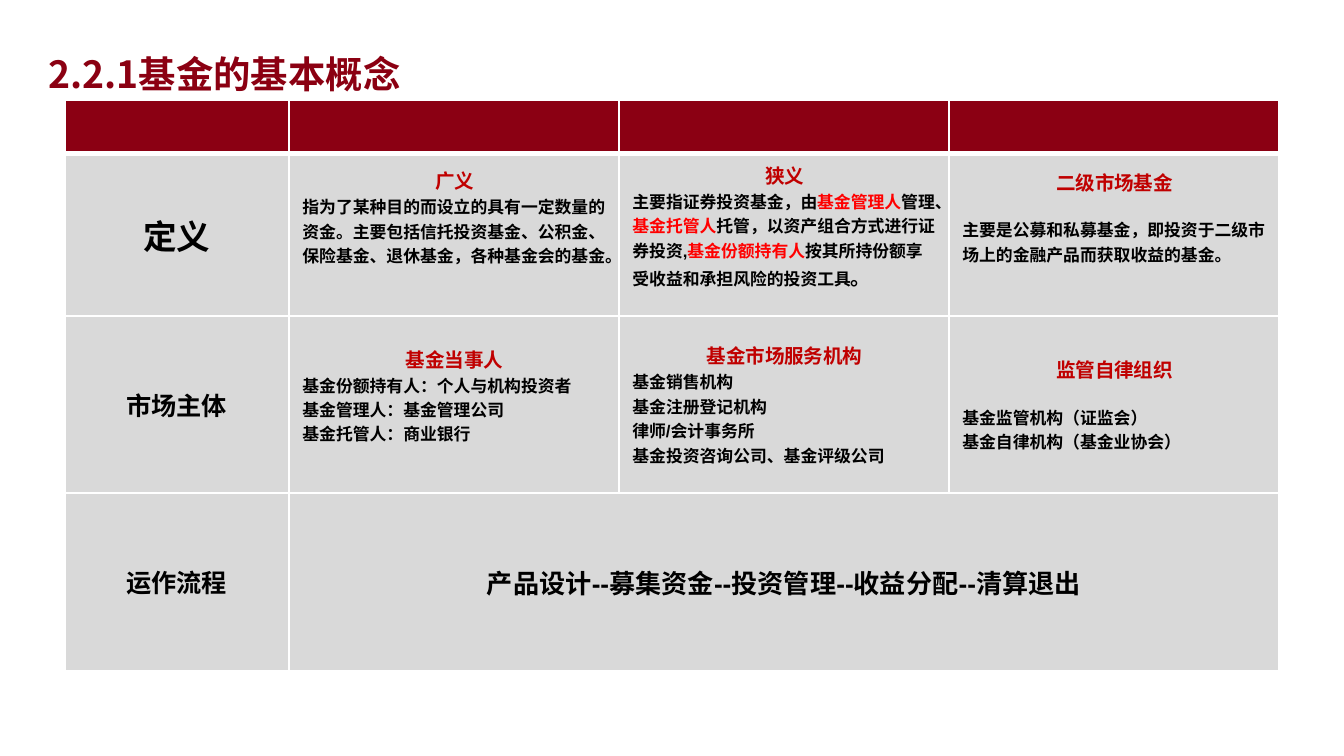
from lxml import etree
from pptx import Presentation, util as u
from pptx.dml.color import RGBColor
from pptx.enum import text as t
from pptx.oxml import ns

PX = 914400 / 134.4
WINE = RGBColor(0x8B, 0x00, 0x13)
TITLE = RGBColor(0x8B, 0x00, 0x12)
GREY = RGBColor(0xD9, 0xD9, 0xD9)
BLACK = RGBColor(0, 0, 0)
CRIMSON = RGBColor(0xC0, 0, 0)
RED = RGBColor(0xFF, 0, 0)
SANS = "Noto Sans CJK SC"

COLS = [224, 330, 330, 330]
ROWS = [53, 162, 177, 178]

# Row label, its size, then per column:
# heading, gap below it in points, bottom margin in px, lines of runs
BODY = [
    ("定义", 18, [
        ("广义", 0, 43, [[("指为了某种目的而设立的具有一定数量的资金。主要包括信托投资基金、"
                         "公积金、保险基金、退休基金，各种基金会的基金。", {})]]),
        ("狭义", 0, 24, [[("主要指证券投资基金，由", {}), ("基金管理人", {"color": RED}),
                        ("管理、", {}), ("基金托管人", {"color": RED}),
                        ("托管，以资产组合方式进行证券投资,", {}),
                        ("基金份额持有人", {"color": RED}),
                        ("按其所持份额享受收益和承担风险的投资工具", {}),
                        ("。", {"size": 11})]]),
        ("二级市场基金", 11.5, 43, [[("主要是公募和私募基金，即投资于二级市场上的金融产品而"
                                "获取收益的基金。", {})]]),
    ]),
    ("市场主体", 13.5, [
        ("基金当事人", 0, 25, [[("基金份额持有人：个人与机构投资者", {})],
                           [("基金管理人：基金管理公司", {})],
                           [("基金托管人：商业银行", {})]]),
        ("基金市场服务机构", 0, 7, [[("基金销售机构", {})],
                             [("基金注册登记机构", {})],
                             [("律师/会计事务所", {})],
                             [("基金投资咨询公司、基金评级公司", {})]]),
        ("监管自律组织", 11.5, 7, [[("基金监管机构（证监会）", {})],
                              [("基金自律机构（基金业协会）", {})]]),
    ]),
]
FLOW = ["产品设计", "募集资金", "投资管理", "收益分配", "清算退出"]


def px(n):
    return u.Emu(round(n * PX))


def put(para, text, size=9, color=BLACK, font="Arial", center=False):
    """Add a bold run to a paragraph."""
    run = para.add_run()
    run.text = text
    run.font.size = u.Pt(size)
    run.font.bold = True
    run.font.color.rgb = color
    run.font.name = font
    east = etree.SubElement(run.font._element, ns.qn("a:ea"))
    east.set("typeface", SANS)
    if center:
        para.alignment = t.PP_ALIGN.CENTER


def edge(cell, **widths):
    """White cell borders, 1 pt unless a side is given."""
    props = cell._tc.get_or_add_tcPr()
    for side in "LRTB":
        line = etree.SubElement(props, ns.qn("a:ln" + side))
        line.set("w", str(u.Pt(widths.get(side, 1))))
        fill = etree.SubElement(line, ns.qn("a:solidFill"))
        etree.SubElement(fill, ns.qn("a:srgbClr")).set("val", "FFFFFF")


def topic(cell, head, gap, foot, lines):
    """Centred heading above left-aligned lines."""
    cell.margin_right = px(12)
    cell.margin_bottom = px(foot)
    frame = cell.text_frame
    para = frame.paragraphs[0]
    put(para, head, size=10.5, color=CRIMSON, center=True)
    para.space_after = u.Pt(gap)
    for line in lines:
        para = frame.add_paragraph()
        for text, style in line:
            put(para, text, **style)


def title(slide, x, y, w, h):
    frame = slide.shapes.add_textbox(px(x), px(y), px(w), px(h)).text_frame
    frame.word_wrap = True
    para = frame.paragraphs[0]
    para.line_spacing = 1.14
    put(para, "2.2.1基金的基本概念", size=20, color=TITLE, font=SANS)


def grid(slide, x, y, w, h):
    table = slide.shapes.add_table(len(ROWS), len(COLS),
                                   px(x), px(y), px(w), px(h)).table
    table.first_row = table.horz_banding = False
    for col, size in zip(table.columns, COLS):
        col.width = px(size)
    for row, size in zip(table.rows, ROWS):
        row.height = px(size)

    # Fills and borders, with a thick rule under the header
    for r in range(len(ROWS)):
        for c in range(len(COLS)):
            cell = table.cell(r, c)
            edge(cell, **{0: {"B": 3}, 1: {"T": 3}}.get(r, {}))
            cell.fill.solid()
            cell.fill.fore_color.rgb = GREY if r else WINE
            cell.vertical_anchor = t.MSO_ANCHOR.MIDDLE

    # Definition and participant rows
    for r, (label, size, topics) in enumerate(BODY, 1):
        put(table.cell(r, 0).text_frame.paragraphs[0], label, size=size, center=True)
        for c, item in enumerate(topics, 1):
            topic(table.cell(r, c), *item)

    # Process row
    last = len(ROWS) - 1
    table.cell(last, 1).merge(table.cell(last, 3))
    put(table.cell(last, 0).text_frame.paragraphs[0], "运作流程", size=13.5, center=True)
    put(table.cell(last, 1).text_frame.paragraphs[0], "--".join(FLOW), size=14, center=True)


def main():
    deck = Presentation()
    deck.slide_width, deck.slide_height = px(1344), px(756)
    slide = deck.slides.add_slide(deck.slide_layouts[6])
    title(slide, 35, 38, 497, 62)
    grid(slide, 65, 100, sum(COLS), sum(ROWS))
    deck.save("out.pptx")


if __name__ == "__main__":
    main()
